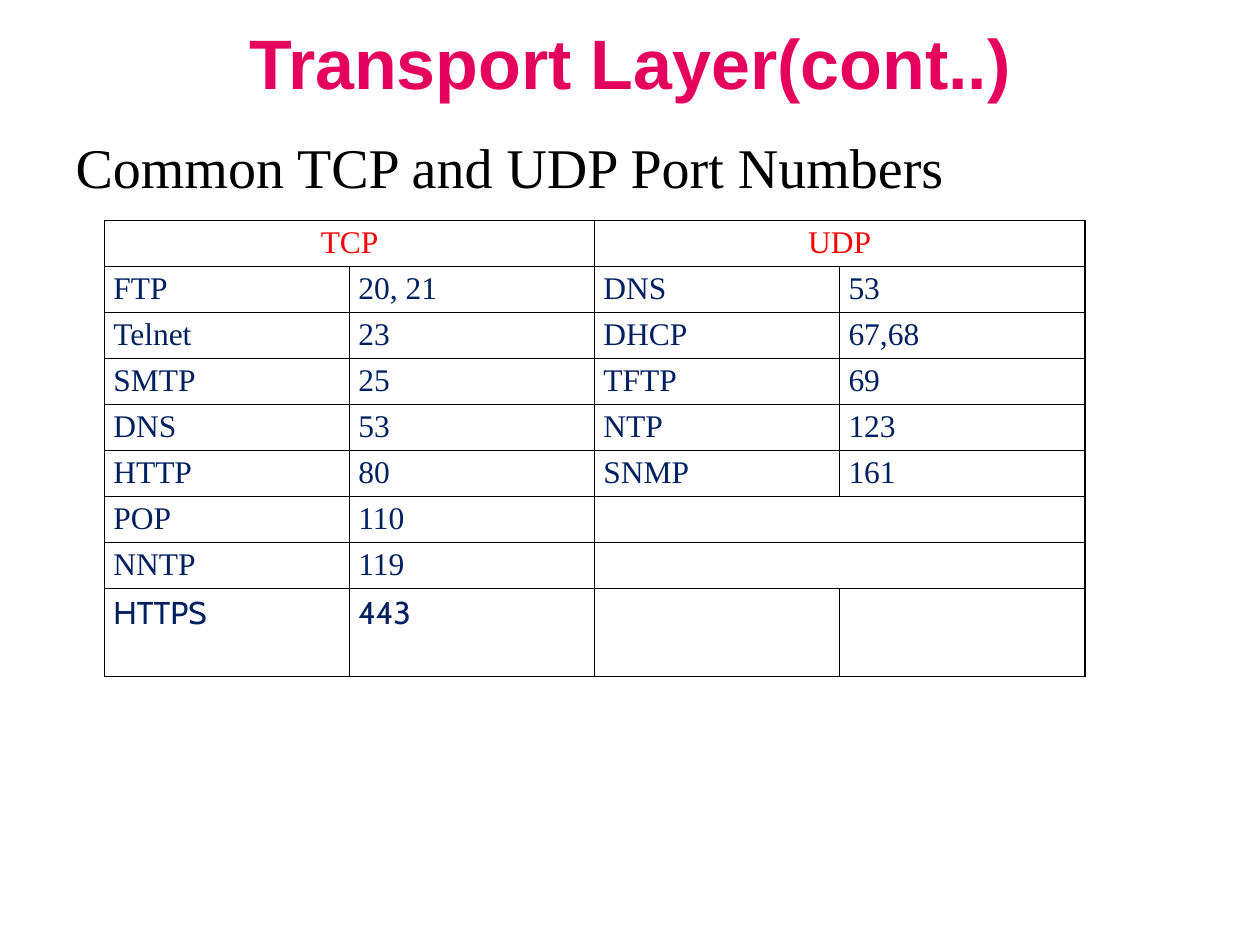
from dataclasses import dataclass
from lxml.etree import SubElement
from pptx import Presentation
from pptx.dml.color import RGBColor as RGB
from pptx.enum.text import MSO_ANCHOR as Anchor, MSO_AUTO_SIZE as Fit, PP_ALIGN as Align
from pptx.oxml.ns import qn
from pptx.util import Inches, Pt


@dataclass(frozen=True)
class Theme:
    title = dict(size=Pt(40), name="Arial", bold=True, color="E4005C")
    body = dict(size=Pt(32), name="Times New Roman", bold=False, color="000000")
    head = dict(size=Pt(18), name="Times New Roman", bold=False, color="FF0000")
    cell = dict(head, color="002060")
    last = dict(cell, name="Cabin")
    line = "000000"


THEME = Theme()
PORTS = [
    ["TCP", "", "UDP", ""],
    ["FTP", "20, 21", "DNS", "53"],
    ["Telnet", "23", "DHCP", "67,68"],
    ["SMTP", "25", "TFTP", "69"],
    ["DNS", "53", "NTP", "123"],
    ["HTTP", "80", "SNMP", "161"],
    ["POP", "110", "", ""],
    ["NNTP", "119", "", ""],
    ["HTTPS", "443", "", ""],
]
SPANS = [(0, 0), (0, 2), (6, 2), (7, 2)]  # row and first column of each merged pair


def set_all(item, values):
    for key, value in values.items():
        setattr(item, key, value)


def style(para, font, **form):
    set_all(para, form)
    for key, value in font.items():
        if key == "color":
            para.font.color.rgb = RGB.from_string(value)
        else:
            setattr(para.font, key, value)


def fill_holder(shape, box, text, anchor):
    """Move a placeholder and return its only paragraph."""
    set_all(shape, dict(zip(("left", "top", "width", "height"), map(Inches, box))))
    frame = shape.text_frame
    frame.text = text
    set_all(frame, dict(word_wrap=True, auto_size=Fit.NONE, vertical_anchor=anchor))
    return frame.paragraphs[0]


def add_title(slide, text):
    para = fill_holder(slide.shapes.title, (0.5, 0.3, 9, 0.37), text, Anchor.MIDDLE)
    style(para, THEME.title, alignment=Align.CENTER)


def add_body(slide, text):
    para = fill_holder(slide.placeholders[1], (0.5, 0.92, 9.25, 5.78), text, Anchor.TOP)
    props = para._p.get_or_add_pPr()
    props.set("marL", "0")
    props.set("indent", "0")
    SubElement(props, qn("a:buNone"))
    style(para, THEME.body, alignment=Align.JUSTIFY, line_spacing=1.15,
          space_before=Pt(0), space_after=Pt(10))


def add_edges(cell):
    props = cell._tc.get_or_add_tcPr()
    for side in ("lnL", "lnR", "lnT", "lnB"):
        edge = SubElement(props, qn(f"a:{side}"), w=str(Pt(1)))
        fill = SubElement(edge, qn("a:solidFill"))
        SubElement(fill, qn("a:srgbClr"), val=THEME.line)


def fill_cell(cell, text, font, align):
    set_all(cell, dict(margin_left=Inches(0.07), margin_right=Inches(0.07),
                       margin_top=0, margin_bottom=0))
    add_edges(cell)
    cell.fill.background()
    cell.text = text
    style(cell.text_frame.paragraphs[0], font, alignment=align, line_spacing=1.15)


def add_ports(slide):
    rows, cols = len(PORTS), len(PORTS[0])
    width, height, foot = 7.78, 3.62, 0.7
    table = slide.shapes.add_table(rows, cols, Inches(0.83), Inches(1.75),
                                   Inches(width), Inches(height)).table
    set_all(table, dict(first_row=False, horz_banding=False))
    for col in table.columns:
        col.width = Inches(width / cols)
    for row in table.rows:
        row.height = Inches((height - foot) / (rows - 1))
    table.rows[rows - 1].height = Inches(foot)
    fonts = {0: THEME.head, rows - 1: THEME.last}
    for r, line in enumerate(PORTS):
        for c, text in enumerate(line):
            fill_cell(table.cell(r, c), text, fonts.get(r, THEME.cell),
                      Align.LEFT if r else Align.CENTER)
    for r, c in SPANS:
        table.cell(r, c).merge(table.cell(r, c + 1))


def main():
    deck = Presentation()
    set_all(deck, dict(slide_width=Inches(10), slide_height=Inches(7.5)))
    slide = deck.slides.add_slide(deck.slide_layouts[1])
    add_title(slide, "Transport Layer(cont..)")
    add_body(slide, "Common TCP and UDP Port Numbers")
    add_ports(slide)
    deck.save("out.pptx")


if __name__ == "__main__":
    main()
